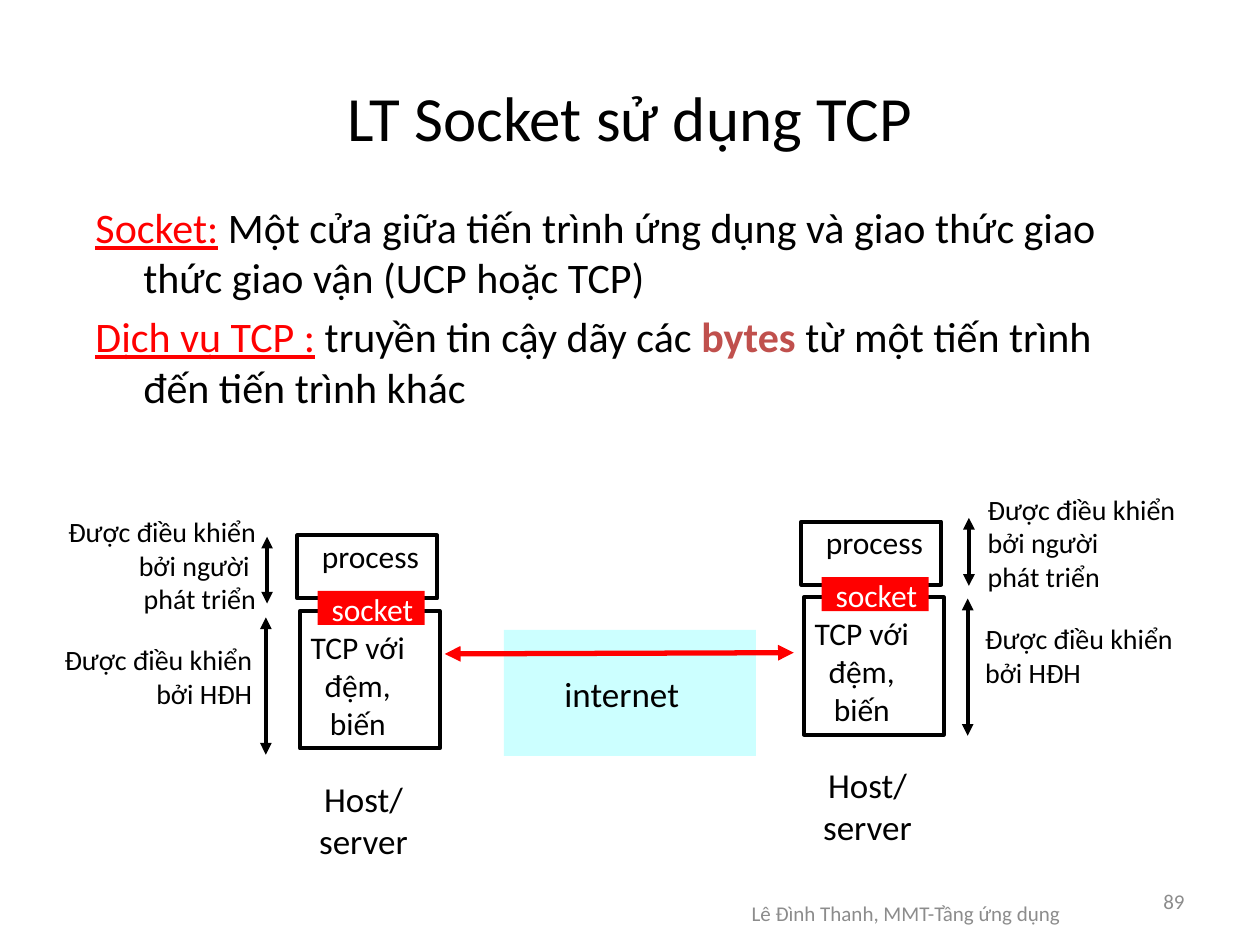
from lxml import etree
from pptx import Presentation
from pptx.dml.color import RGBColor
from pptx.enum.shapes import MSO_CONNECTOR, MSO_SHAPE
from pptx.enum.text import MSO_ANCHOR, PP_ALIGN
from pptx.oxml.ns import qn
from pptx.util import Inches, Pt

LEFT, CENTER, RIGHT = PP_ALIGN.LEFT, PP_ALIGN.CENTER, PP_ALIGN.RIGHT
TOP, MIDDLE = MSO_ANCHOR.TOP, MSO_ANCHOR.MIDDLE
RECTANGLE, STRAIGHT = MSO_SHAPE.RECTANGLE, MSO_CONNECTOR.STRAIGHT
COLORS = {"ink": "000000", "paper": "FFFFFF", "red": "FF0000",
          "brick": "C0504D", "gray": "8C8C8C", "cloud": "CCFFFF"}

deck = Presentation()
deck.slide_width, deck.slide_height = Inches(10), Inches(7.5)
COL, ROW = deck.slide_width / 10, deck.slide_height / 7.5
slide = deck.slides.add_slide(deck.slide_layouts[6])


def add_text(parent, area, paragraphs, size, color="ink", align=CENTER,
             anchor=MIDDLE, wrap=False, hanging=0):
    x, y, width, height = area
    label = parent.add_textbox(int(x * COL), int(y * ROW), int(width * COL), int(height * ROW))
    frame = label.text_frame
    for name, value in {"word_wrap": wrap, "vertical_anchor": anchor}.items():
        setattr(frame, name, value)
    for number, runs in enumerate(paragraphs):
        paragraph = frame.add_paragraph() if number else frame.paragraphs[0]
        paragraph.alignment = align
        if hanging:
            indent = int(hanging * COL)
            paragraph._p.get_or_add_pPr().set("marL", str(indent))
            paragraph._p.get_or_add_pPr().set("indent", str(-indent))
            if number:
                paragraph.space_before = Pt(size * 0.2)
        for words, style in [(runs, {})] if isinstance(runs, str) else runs:
            run = paragraph.add_run()
            run.text = words
            font_format = {"name": "Calibri", "size": Pt(size), **style}
            shade = font_format.pop("color", color)
            for name, value in font_format.items():
                setattr(run.font, name, value)
            run.font.color.rgb = RGBColor.from_string(COLORS[shade])


def add_double_arrow(start, end, color, weight):
    arrow = slide.shapes.add_connector(
        STRAIGHT, int(start[0] * COL), int(start[1] * ROW), int(end[0] * COL), int(end[1] * ROW))
    arrow.line.color.rgb = RGBColor.from_string(COLORS[color])
    arrow.line.width = Pt(weight)
    outline = arrow.line._get_or_add_ln()
    for tip in ("a:headEnd", "a:tailEnd"):
        etree.SubElement(outline, qn(tip), type="triangle")
    etree.SubElement(arrow._element.spPr, qn("a:effectLst"))


add_text(slide.shapes, (5.3, 7, 3.78, 0.5), ["Lê Đình Thanh, MMT-Tầng ứng dụng"], 12, "gray", wrap=True)
add_text(slide.shapes, (7.17, 6.95, 2.33, 0.4), ["89"], 12, "gray", RIGHT, wrap=True)
add_text(slide.shapes, (0.5, 0.3, 9, 1.25), ["LT Socket sử dụng TCP"], 36, wrap=True)

term = {"color": "red", "underline": True}
definitions = [
    [("Socket:", term),
     (" Một cửa giữa tiến trình ứng dụng và giao thức giao thức giao vận (UCP hoặc TCP)", {})],
    [("Dịch vụ TCP :", term), (" truyền tin cậy dãy các ", {}),
     ("bytes ", {"color": "brick", "bold": True}),
     ("từ một tiến trình đến tiến trình khác", {})],
]
add_text(slide.shapes, (0.66, 1.55, 8.5, 1.68), definitions, 24,
         align=LEFT, anchor=TOP, wrap=True, hanging=0.38)

host_parts = [
    ((0, 0.12, 1.11, 0.5), "paper", "ink", (0.03, 0.08, 1.1, 0.4), ["process"], "ink"),
    ((0.02, 0.72, 1.11, 1.09), None, "ink", (-0.05, 0.8, 1.06, 1.01), ["TCP với", "đệm,", "biến"], "ink"),
    ((0.16, 0.56, 0.85, 0.27), "red", None, (0.11, 0.5, 0.97, 0.4), ["socket"], "paper"),
]
for host_x, host_y in ((2.36, 4.13), (6.36, 4.02)):
    host = slide.shapes.add_group_shape().shapes
    for (x, y, width, height), fill, edge, (text_x, text_y, *text_size), words, color in host_parts:
        block = host.add_shape(RECTANGLE, int((host_x + x) * COL), int((host_y + y) * ROW),
                               int(width * COL), int(height * ROW))
        block.shadow.inherit = False
        for paint, shade in ((block.fill, fill), (block.line.fill, edge)):
            if shade:
                paint.solid()
                paint.fore_color.rgb = RGBColor.from_string(COLORS[shade])
            else:
                paint.background()
        if edge:
            block.line.width = Pt(2.25)
        add_text(host, (host_x + text_x, host_y + text_y, *text_size), words, 18, color)
    add_text(slide.shapes, (host_x, host_y + 1.99, 1.05, 0.77), ["Host/", "server"], 20, wrap=True)

controlled = "Được điều khiển"
control_notes = [
    ((0.33, 4.03, 1.8, 0.91), ["bởi người ", "phát triển"], RIGHT, 2.12, 4.79, 4.26),
    ((0.27, 5.05, 1.83, 0.64), ["bởi HĐH"], RIGHT, 2.11, 5.99, 4.9),
    ((7.74, 3.85, 1.82, 0.91), ["bởi người", "phát triển"], LEFT, 7.69, 4.65, 4.11),
    ((7.72, 4.88, 1.82, 0.64), ["bởi HĐH"], LEFT, 7.68, 5.84, 4.75),
]
for area, controller, align, span_x, bottom, top in control_notes:
    add_text(slide.shapes, area, [controlled, *controller], 16, align=align)
    add_double_arrow((span_x, bottom), (span_x, top), "ink", 2.25)

cloud_start = (4.3, 4.64)
cloud_curves = [
    ((4.12, 4.65), (4.04, 4.73), (3.99, 4.85)),
    ((3.93, 4.98), (3.97, 5.22), (3.98, 5.39)),
    ((3.98, 5.55), (3.96, 5.75), (4.01, 5.83)),
    ((4.07, 5.92), (4.16, 5.82), (4.31, 5.9)),
    ((4.46, 5.97), (4.73, 6.18), (4.92, 6.27)),
    ((5.11, 6.36), (5.31, 6.46), (5.45, 6.43)),
    ((5.59, 6.4), (5.69, 6.31), (5.76, 6.12)),
    ((5.83, 5.92), (5.87, 5.47), (5.87, 5.27)),
    ((5.87, 5.08), (5.9, 5.01), (5.77, 4.93)),
    ((5.64, 4.85), (5.32, 4.84), (5.07, 4.79)),
    ((4.83, 4.74), (4.48, 4.62), cloud_start),
]
STEPS = 12
cloud_edge, corner = [], cloud_start
for bend_out, bend_in, target in cloud_curves:
    for step in range(1, STEPS + 1):
        t = step / STEPS
        weights = ((1 - t) ** 3, 3 * t * (1 - t) ** 2, 3 * t * t * (1 - t), t ** 3)
        cloud_edge.append(tuple(
            sum(weight * point[axis] for weight, point in zip(weights, (corner, bend_out, bend_in, target)))
            for axis in (0, 1)))
    corner = target
outline_builder = slide.shapes.build_freeform(*cloud_start, scale=(COL, ROW))
outline_builder.add_line_segments(cloud_edge, close=True)
cloud = outline_builder.convert_to_shape()
cloud.shadow.inherit = False
cloud.fill.solid()
cloud.fill.fore_color.rgb = RGBColor.from_string(COLORS["cloud"])
cloud.line.fill.background()

add_text(slide.shapes, (4.3, 5.29, 1.27, 0.43), ["internet"], 20, wrap=True)
add_double_arrow((6.3, 5.18), (3.53, 5.19), "red", 3)

deck.save("out.pptx")
